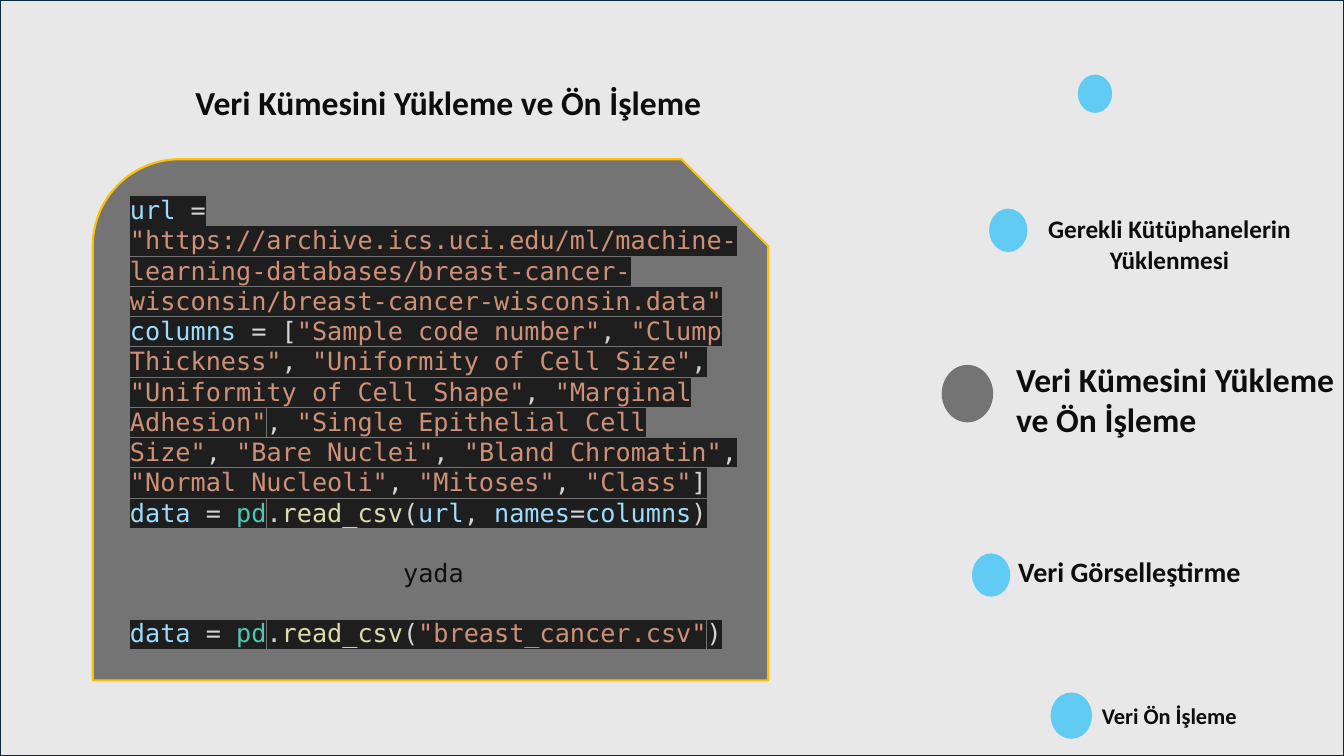
from lxml.etree import SubElement
from pptx import Presentation
from pptx.dml.color import RGBColor
from pptx.enum.shapes import MSO_SHAPE
from pptx.enum.text import PP_ALIGN
from pptx.oxml.ns import qn
from pptx.util import Inches, Pt

WIDTH, HEIGHT = 13.33, 7.5
COLORS = {
    "backdrop": "E8E8E8", "frame": "092A39", "step": "61CBF4",
    "current": "747474", "panel": "747474", "panel_edge": "FFC000",
    "text": "0D0D0D", "or_word": "0F0F0F", "highlight": "1E1E1E",
    "variable": "9CDCFE", "symbol": "D4D4D4", "string": "CE9178",
    "module": "4EC9B0", "function": "DCDCAA",
}
CODE_SIZE, CODE_LINE = 18, 21.6
OR_INDENT = 2.71

# Each step: dot box, dot colour, label, label box, label size, alignment
STEPS = [
    ((10.69, 0.74, 0.34, 0.38), "step", None, None, None, None),
    ((9.81, 2.07, 0.38, 0.43), "step", "Gerekli Kütüphanelerin Yüklenmesi",
     (9.86, 2.07, 3.48, 1.01), 18, PP_ALIGN.CENTER),
    ((9.34, 3.62, 0.51, 0.57), "current", "Veri Kümesini Yükleme ve Ön İşleme",
     (9.98, 3.51, 3.48, 1.21), 24, PP_ALIGN.LEFT),
    ((9.64, 5.49, 0.38, 0.43), "step", "Veri Görselleştirme",
     (10, 5.45, 3.33, 0.74), 20, PP_ALIGN.LEFT),
    ((10.42, 6.87, 0.41, 0.46), "step", "Veri Ön İşleme",
     (10.83, 6.92, 2.5, 0.58), 16, PP_ALIGN.LEFT),
]

FEATURES = [
    "Sample code number", "Clump Thickness", "Uniformity of Cell Size",
    "Uniformity of Cell Shape", "Marginal Adhesion",
    "Single Epithelial Cell Size", "Bare Nuclei", "Bland Chromatin",
    "Normal Nucleoli", "Mitoses", "Class",
]
DATA_URL = ('"https://archive.ics.uci.edu/ml/machine-learning-databases/'
            'breast-cancer-wisconsin/breast-cancer-wisconsin.data"')


def rgb(name):
    return RGBColor.from_string(COLORS[name])


def add_figure(slide, preset, box, fill, edge=None):
    figure = slide.shapes.add_shape(preset, *map(Inches, box))
    figure.shadow.inherit = False
    figure.fill.solid()
    figure.fill.fore_color.rgb = rgb(fill)
    if edge:
        figure.line.color.rgb = rgb(edge)
        figure.line.width = Pt(1.5)
    else:
        figure.line.fill.background()


def add_frame(slide, box):
    frame = slide.shapes.add_textbox(*map(Inches, box)).text_frame
    frame.word_wrap = True
    return frame


def add_label(slide, box, text, size, align=PP_ALIGN.LEFT):
    label = add_frame(slide, box).paragraphs[0]
    label.text = text
    label.alignment = align
    label.font.name = "Calibri"
    label.font.size = Pt(size)
    label.font.bold = True
    label.font.color.rgb = rgb("text")


def assign(variable, *value):
    return [(variable, "variable"), (" = ", "symbol"), *value]


def read_csv(*arguments):
    return assign("data", ("pd", "module"), (".", "symbol"),
                  ("read_csv", "function"), ("(", "symbol"),
                  *arguments, (")", "symbol"))


def column_list():
    tokens = [("[", "symbol")]
    for feature in FEATURES:
        tokens += [(f'"{feature}"', "string"), (", ", "symbol")]
    tokens[-1] = ("]", "symbol")
    return assign("columns", *tokens)


def add_code_line(paragraph, tokens, highlighted=True, gap=0):
    paragraph.line_spacing = Pt(CODE_LINE)
    if gap:
        paragraph.space_before = Pt(gap)
    paragraph.font.name = "DejaVu Sans Mono"
    paragraph.font.size = Pt(CODE_SIZE)
    for text, color in tokens:
        token = paragraph.add_run()
        token.text = text
        token.font.color.rgb = rgb(color)
        if highlighted:
            mark = SubElement(token.font._element, qn("a:highlight"))
            SubElement(mark, qn("a:srgbClr"), val=COLORS["highlight"])


def add_code_panel(slide, box):
    """Clipped panel with the two ways of loading the data."""
    left, top, width, height = box
    add_figure(slide, MSO_SHAPE.SNIP_ROUND_RECTANGLE, box, "panel", "panel_edge")
    code = add_frame(slide, (left + 0.27, top + 0.3, width - 0.39, height - 0.53))
    from_url = [
        assign("url", (DATA_URL, "string")),
        column_list(),
        read_csv(("url", "variable"), (", ", "symbol"), ("names", "variable"),
                 ("=", "symbol"), ("columns", "variable")),
    ]
    for index, tokens in enumerate(from_url):
        add_code_line(code.add_paragraph() if index else code.paragraphs[0], tokens)

    # The word between the two alternatives
    alternative = code.add_paragraph()
    properties = alternative._p.get_or_add_pPr()
    properties.set("marL", str(Inches(OR_INDENT)))
    properties.set("indent", "0")
    add_code_line(alternative, [("yada", "or_word")], False, CODE_LINE)

    from_file = read_csv(('"breast_cancer.csv"', "string"))
    add_code_line(code.add_paragraph(), from_file, gap=CODE_LINE)


def add_steps(slide):
    """Dots along the right side, with their labels."""
    for dot, color, text, box, size, align in STEPS:
        add_figure(slide, MSO_SHAPE.FLOWCHART_CONNECTOR, dot, color)
        if text:
            add_label(slide, box, text, size, align)


def main():
    deck = Presentation()
    deck.slide_width, deck.slide_height = Inches(WIDTH), Inches(HEIGHT)
    slide = deck.slides.add_slide(deck.slide_layouts[6])
    # Backdrop
    add_figure(slide, MSO_SHAPE.RECTANGLE, (0, 0, WIDTH, HEIGHT),
               "backdrop", "frame")
    add_steps(slide)
    # Title and code
    add_label(slide, (1.84, 0.76, 5.3, 0.81),
              "Veri Kümesini Yükleme ve Ön İşleme", 24)
    add_code_panel(slide, (0.92, 1.58, 6.7, 5.17))
    deck.save("out.pptx")


if __name__ == "__main__":
    main()
